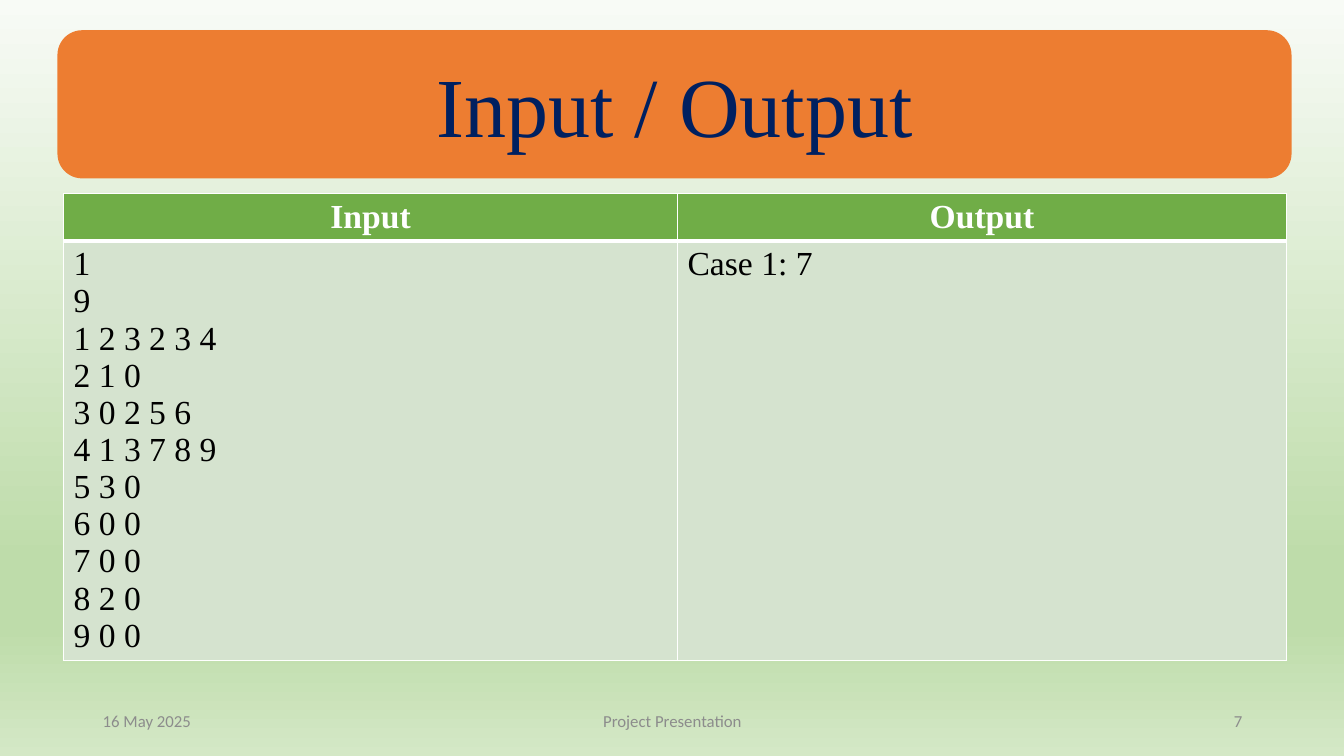
from lxml import etree
from pptx import Presentation
from pptx.dml.color import RGBColor
from pptx.enum import shapes, text
from pptx.oxml import ns
from pptx.util import Inches, Pt

# Content
TITLE = "Input / Output"
HEADERS = ["Input", "Output"]
BODY = [
    ["1", "9", "1 2 3 2 3 4", "2 1 0", "3 0 2 5 6", "4 1 3 7 8 9",
     "5 3 0", "6 0 0", "7 0 0", "8 2 0", "9 0 0"],
    ["Case 1: 7"],
]
LEFT, CENTER, RIGHT = text.PP_ALIGN.LEFT, text.PP_ALIGN.CENTER, text.PP_ALIGN.RIGHT
FOOTERS = [  # text, left, width, alignment
    ("16 May 2025", 0.92, 3, LEFT),
    ("Project Presentation", 4.42, 4.5, CENTER),
    ("7", 9.42, 3, RIGHT),
]
COLUMN_WIDTHS = [6.09, 6.04]
ROW_HEIGHTS = [0.46, 4.16]

THEME = {
    "background": [(0, "F8FBF6"), (74, "BEDCAA"), (83, "BEDCAA"), (100, "D4E8C6")],
    "banner": "ED7D31", "title": "002060",
    "header": "70AD47", "body": "D5E3CF",
    "white": "FFFFFF", "black": "000000", "muted": "8C8C8C",
    "serif": "Times New Roman", "sans": "Calibri",
    "title_size": 60, "table_size": 24, "footer_size": 12,
}


def write(text_frame, lines, font, size, color, alignment, bold=False):
    text_frame.text = "\n".join(lines)
    for paragraph in text_frame.paragraphs:
        paragraph.alignment = alignment
        for run in paragraph.runs:
            run.font.name = font
            run.font.size = Pt(size)
            run.font.bold = bold
            run.font.color.rgb = RGBColor.from_string(color)


def paint(fill, color):
    fill.solid()
    fill.fore_color.rgb = RGBColor.from_string(color)


def add_color(parent, color):
    etree.SubElement(parent, ns.qn("a:srgbClr"), val=color)


def set_borders(cell, widths):
    properties = cell._tc.get_or_add_tcPr()
    for index, (side, width) in enumerate(widths.items()):
        line = etree.Element(ns.qn(f"a:ln{side}"), w=str(Pt(width)))
        add_color(etree.SubElement(line, ns.qn("a:solidFill")), THEME["white"])
        properties.insert(index, line)


presentation = Presentation()
presentation.slide_width = Inches(13.33)
presentation.slide_height = Inches(7.5)
slide = presentation.slides.add_slide(presentation.slide_layouts[6])

# Background gradient, top to bottom
background = slide.background.fill
background.gradient()
background.gradient_angle = 270
stop_list = next(slide.background._cSld.iter(ns.qn("a:gsLst")))
for stop in list(stop_list):
    stop_list.remove(stop)
for position, color in THEME["background"]:
    add_color(etree.SubElement(stop_list, ns.qn("a:gs"), pos=str(position * 1000)), color)

# Title banner
banner = slide.shapes.add_shape(
    shapes.MSO_SHAPE.ROUNDED_RECTANGLE,
    Inches(0.57), Inches(0.3), Inches(12.24), Inches(1.47))
banner.shadow.inherit = False
paint(banner.fill, THEME["banner"])
banner.line.fill.background()
banner.text_frame.vertical_anchor = text.MSO_ANCHOR.MIDDLE
write(banner.text_frame, [TITLE], THEME["serif"], THEME["title_size"],
      THEME["title"], CENTER)

# Input and output table
table = slide.shapes.add_table(
    2, 2, Inches(0.63), Inches(1.92),
    Inches(sum(COLUMN_WIDTHS)), Inches(sum(ROW_HEIGHTS))).table
for row, height in zip(table.rows, ROW_HEIGHTS):
    row.height = Inches(height)
for index, (header, lines) in enumerate(zip(HEADERS, BODY)):
    table.columns[index].width = Inches(COLUMN_WIDTHS[index])
    header_cell, body_cell = table.cell(0, index), table.cell(1, index)
    write(header_cell.text_frame, [header], THEME["serif"], THEME["table_size"],
          THEME["white"], CENTER, bold=True)
    write(body_cell.text_frame, lines, THEME["serif"], THEME["table_size"],
          THEME["black"], LEFT)
    paint(header_cell.fill, THEME["header"])
    paint(body_cell.fill, THEME["body"])
    set_borders(header_cell, {"L": 1, "R": 1, "T": 1, "B": 3})
    set_borders(body_cell, {"L": 1, "R": 1, "T": 3, "B": 1})

# Footer
for label, left, width, alignment in FOOTERS:
    footer = slide.shapes.add_textbox(
        Inches(left), Inches(6.95), Inches(width), Inches(0.4))
    footer.text_frame.word_wrap = True
    footer.text_frame.vertical_anchor = text.MSO_ANCHOR.MIDDLE
    write(footer.text_frame, [label], THEME["sans"], THEME["footer_size"],
          THEME["muted"], alignment)

presentation.save("out.pptx")
